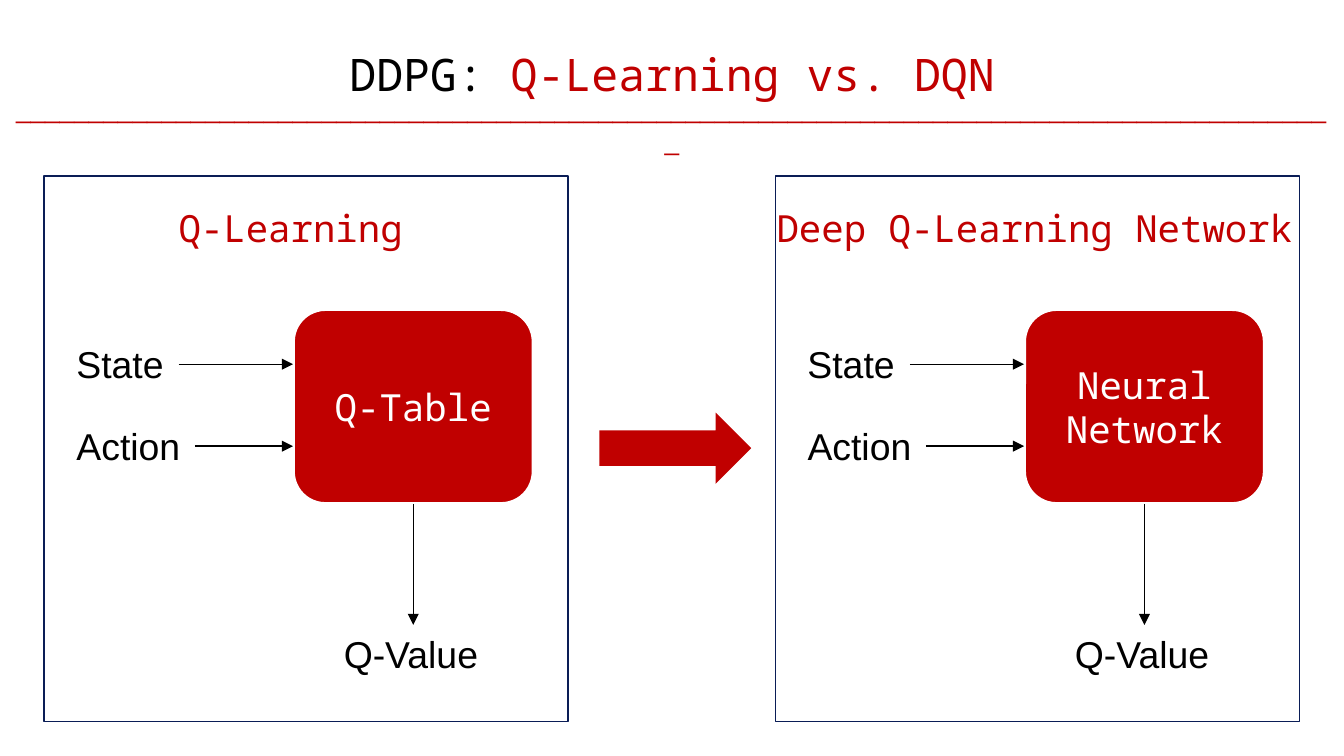
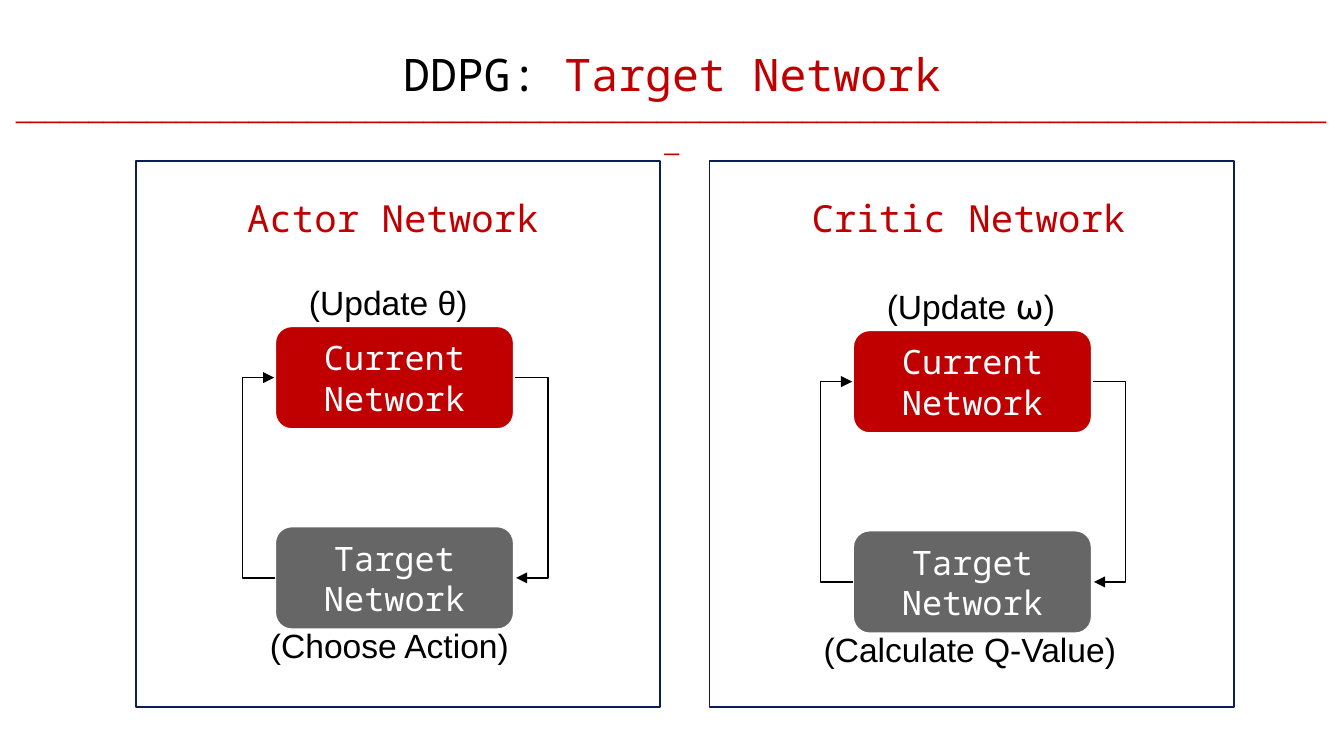
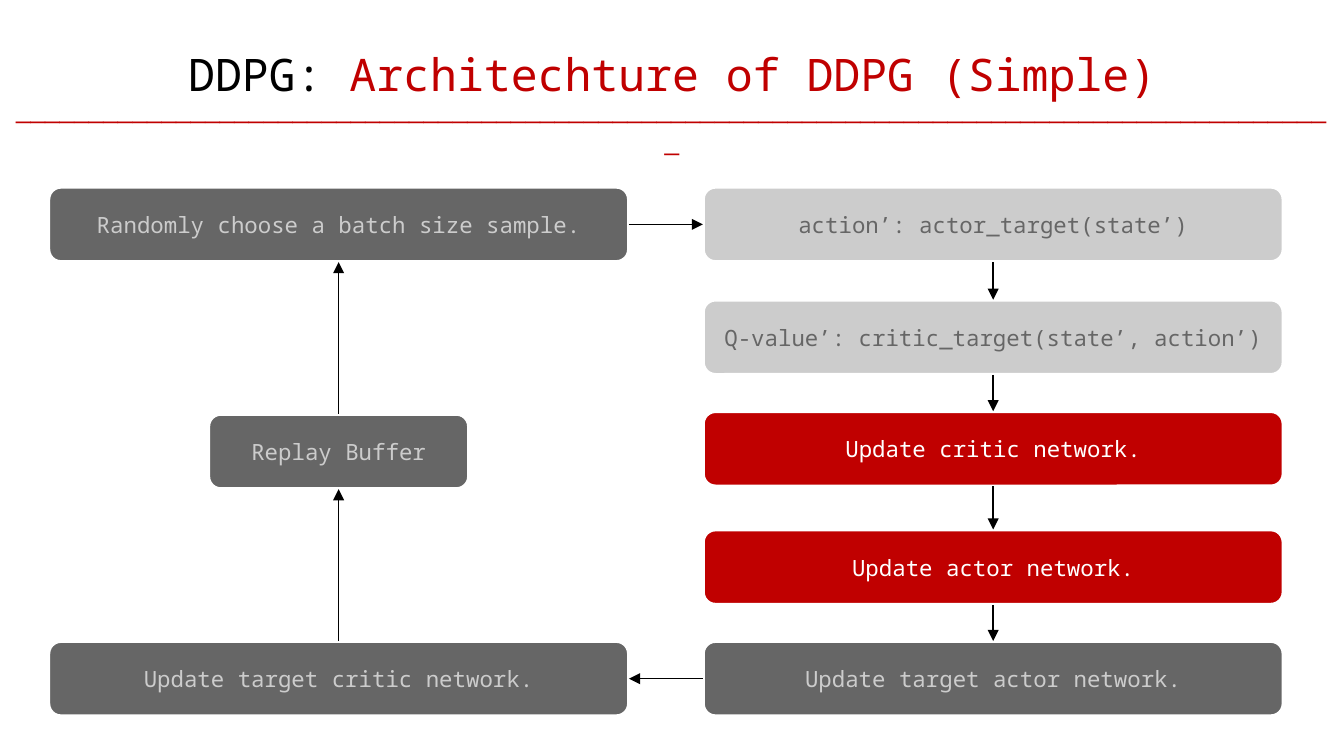
from pptx import Presentation
from pptx.dml.color import RGBColor
from pptx.enum.shapes import MSO_CONNECTOR, MSO_SHAPE
from pptx.enum.text import MSO_ANCHOR, MSO_AUTO_SIZE, PP_ALIGN
from pptx.oxml.ns import qn
from pptx.util import Inches, Pt
from lxml import etree

STRAIGHT, ELBOW = MSO_CONNECTOR.STRAIGHT, MSO_CONNECTOR.ELBOW
RECTANGLE, ROUNDED = MSO_SHAPE.RECTANGLE, MSO_SHAPE.ROUNDED_RECTANGLE
RIGHT_ARROW = MSO_SHAPE.RIGHT_ARROW
LEFT, CENTER = PP_ALIGN.LEFT, PP_ALIGN.CENTER
TOP, MIDDLE = MSO_ANCHOR.TOP, MSO_ANCHOR.MIDDLE
FIT_SHAPE, FIXED = MSO_AUTO_SIZE.SHAPE_TO_FIT_TEXT, MSO_AUTO_SIZE.NONE
TOP_SIDE, LEFT_SIDE, BOTTOM_SIDE, RIGHT_SIDE = range(4)
TITLE_ONLY = 5

MONO, SANS = "Noto Sans Mono", "Arial"
COLORS = {
    "red": "C00000",
    "navy": "0A1D56",
    "dark": "666666",
    "light": "CCCCCC",
    "white": "FFFFFF",
    "black": "000000",
}


def format_shape(shape, text="", *, size=20, font=SANS, color="black", align=LEFT,
                 anchor=TOP, wrap=True, grow=True, accent="",
                 fill=None, outline=None, outline_width=2):
    """Fill and outline a shape and set its text; accent is a red run after it."""
    shape.shadow.inherit = False
    if fill:
        shape.fill.solid()
        shape.fill.fore_color.rgb = RGBColor.from_string(COLORS[fill])
    else:
        shape.fill.background()
    if outline:
        shape.line.color.rgb = RGBColor.from_string(COLORS[outline])
        shape.line.width = Pt(outline_width)
    else:
        shape.line.fill.background()
    if not text:
        return
    frame = shape.text_frame
    frame.word_wrap = wrap
    frame.vertical_anchor = anchor
    frame.auto_size = FIT_SHAPE if grow else FIXED
    for index, line in enumerate(text.split("\n")):
        paragraph = frame.add_paragraph() if index else frame.paragraphs[0]
        paragraph.alignment = align
        for words, tint in ((line, color), (accent, "red")):
            if words:
                run = paragraph.add_run()
                run.text = words
                run.font.size = Pt(size)
                run.font.name = font
                run.font.color.rgb = RGBColor.from_string(COLORS[tint])


def add_arrow(shapes, start, end, bend=None):
    """Draw an arrow between points (x, y) or joints (shape, side).

    bend is how far an elbow reaches out, as a multiple of its width.
    """
    connector = shapes.add_connector(ELBOW if bend else STRAIGHT, 0, 0, 0, 0)
    if isinstance(start[0], (int, float)):
        connector.begin_x, connector.begin_y = Inches(start[0]), Inches(start[1])
    else:
        connector.begin_connect(*start)
    if isinstance(end[0], (int, float)):
        connector.end_x, connector.end_y = Inches(end[0]), Inches(end[1])
    else:
        connector.end_connect(*end)
    connector.line.color.rgb = RGBColor.from_string(COLORS["black"])
    connector.line.width = Pt(0.75)
    properties = connector.element.spPr
    etree.SubElement(properties.find(qn("a:ln")), qn("a:tailEnd"), type="triangle")
    etree.SubElement(properties, qn("a:effectLst"))
    if bend:
        values = properties.find(qn("a:prstGeom")).find(qn("a:avLst"))
        etree.SubElement(values, qn("a:gd"), name="adj1", fmla=f"val {bend * 100000}")


presentation = Presentation()
presentation.slide_width = Inches(10)
presentation.slide_height = Inches(10) * 9 // 16

# Every slide: title and rule
slides = []
for topic in ("Q-Learning vs. DQN", "Target Network", "Architechture of DDPG (Simple)"):
    slide = presentation.slides.add_slide(presentation.slide_layouts[TITLE_ONLY])
    title = slide.shapes.title
    title.left, title.top = Inches(0.04), Inches(0.3)
    title.width, title.height = Inches(9.92), Inches(0.5)
    format_shape(title, "DDPG: ", accent=topic, size=24, font=MONO, align=CENTER)
    rule = slide.shapes.add_textbox(0, Inches(0.64), Inches(10), Inches(0.34))
    format_shape(rule, "_" * 91, size=14, color="red", align=CENTER)
    slides.append(slide)
comparison, target, architecture = slides

PANEL_WIDTH, PANEL_HEIGHT = Inches(3.9), Inches(4.06)

# Slide 1: Q-Learning beside DQN
shapes = comparison.shapes
for panel_left, heading, heading_left, heading_width, model in (
    (0.33, "Q-Learning", 1.23, 1.88, "Q-Table"),
    (5.77, "Deep Q-Learning Network", 5.68, 4.07, "Neural\nNetwork"),
):
    panel = shapes.add_shape(RECTANGLE, Inches(panel_left), Inches(1.31),
                             PANEL_WIDTH, PANEL_HEIGHT)
    format_shape(panel, outline="navy", outline_width=1)
    heading_box = shapes.add_textbox(Inches(heading_left), Inches(1.48),
                                     Inches(heading_width), Inches(0.44))
    format_shape(heading_box, heading, font=MONO, color="red", wrap=False)
    model_left = panel_left + 1.85
    model_box = shapes.add_shape(ROUNDED, Inches(model_left), Inches(2.3),
                                 Inches(1.79), Inches(1.45))
    format_shape(model_box, model, font=MONO, color="white", align=CENTER,
                 anchor=MIDDLE, grow=False, fill="red", outline="white")
    for name, top, width in (("State", 2.49, 0.86), ("Action", 3.1, 0.98)):
        input_box = shapes.add_textbox(Inches(panel_left + 0.14), Inches(top),
                                       Inches(width), Inches(0.44))
        format_shape(input_box, name, wrap=False)
        add_arrow(shapes, (input_box, RIGHT_SIDE), (model_left, top + 0.22))
    value_box = shapes.add_textbox(Inches(panel_left + 2.13), Inches(4.65),
                                   Inches(1.23), Inches(0.44))
    format_shape(value_box, "Q-Value", wrap=False)
    add_arrow(shapes, (model_box, BOTTOM_SIDE), (value_box, TOP_SIDE))
big_arrow = shapes.add_shape(RIGHT_ARROW, Inches(4.46), Inches(3.07),
                             Inches(1.13), Inches(0.53))
format_shape(big_arrow, fill="red")

# Slide 2: current and target networks of actor and critic
NODE_WIDTH, NODE_HEIGHT, NODE_STEP = 1.79, 0.78, 1.49
for panel_left, heading, heading_left, heading_width, left, top, update, use, use_left, use_width in (
    (1.01, "Actor Network", 1.74, 2.38, 2.04, 2.42,
     "(Update θ)", "(Choose Action)", 1.91, 2.01),
    (5.28, "Critic Network", 5.94, 2.56, 6.34, 2.45,
     "(Update ⍵)", "(Calculate Q-Value)", 6.03, 2.4),
):
    panel = target.shapes.add_shape(RECTANGLE, Inches(panel_left), Inches(1.2),
                                    PANEL_WIDTH, PANEL_HEIGHT)
    format_shape(panel, outline="navy", outline_width=1)
    heading_box = target.shapes.add_textbox(Inches(heading_left), Inches(1.4),
                                            Inches(heading_width), Inches(0.44))
    format_shape(heading_box, heading, font=MONO, color="red")

    shapes = target.shapes.add_group_shape().shapes
    for row, (network, fill) in enumerate((("Current\nNetwork", "red"),
                                           ("Target\nNetwork", "dark"))):
        node = shapes.add_shape(ROUNDED, Inches(left), Inches(top + row * NODE_STEP),
                                Inches(NODE_WIDTH), Inches(NODE_HEIGHT))
        format_shape(node, network, size=18, font=MONO, color="white", align=CENTER,
                     anchor=MIDDLE, grow=False, fill=fill, outline="white")
    update_box = shapes.add_textbox(Inches(left + 0.16), Inches(top - 0.37),
                                    Inches(1.45), Inches(0.4))
    format_shape(update_box, update, size=18)
    use_box = shapes.add_textbox(Inches(use_left), Inches(top + 2.18),
                                 Inches(use_width), Inches(0.4))
    format_shape(use_box, use, size=18, wrap=False)
    right = left + NODE_WIDTH
    current_y = top + NODE_HEIGHT / 2
    target_y = current_y + NODE_STEP
    add_arrow(shapes, (left + 0.01, target_y), (left, current_y), bend=25)
    add_arrow(shapes, (right, current_y), (right + 0.01, target_y), bend=25)

# Slide 3: the training cycle, each step with the side its arrow leaves from
shapes = architecture.shapes
steps = []
for text, left, top, width, fill, color, exit_side in (
    ("Randomly choose a batch size sample.", 0.36, 1.39, 4.32, "dark", "light", RIGHT_SIDE),
    ("action’: actor_target(state’)", 5.23, 1.39, 4.32, "light", "dark", BOTTOM_SIDE),
    ("Q-value’: critic_target(state’, action’)", 5.23, 2.23, 4.32, "light", "dark", BOTTOM_SIDE),
    ("Update critic network.", 5.23, 3.06, 4.32, "red", "white", BOTTOM_SIDE),
    ("Update actor network.", 5.23, 3.94, 4.32, "red", "white", BOTTOM_SIDE),
    ("Update target actor network.", 5.23, 4.77, 4.32, "dark", "light", LEFT_SIDE),
    ("Update target critic network.", 0.36, 4.77, 4.32, "dark", "light", TOP_SIDE),
    ("Replay Buffer", 1.55, 3.08, 1.94, "dark", "light", TOP_SIDE),
):
    step = shapes.add_shape(ROUNDED, Inches(left), Inches(top), Inches(width), Inches(0.56))
    format_shape(step, text, size=12, font=MONO, color=color, align=CENTER,
                 anchor=MIDDLE, grow=False, fill=fill, outline="white")
    steps.append((step, exit_side))
for (step, exit_side), (next_step, _) in zip(steps, steps[1:] + steps[:1]):
    add_arrow(shapes, (step, exit_side), (next_step, (exit_side + 2) % 4))

presentation.save("out.pptx")
